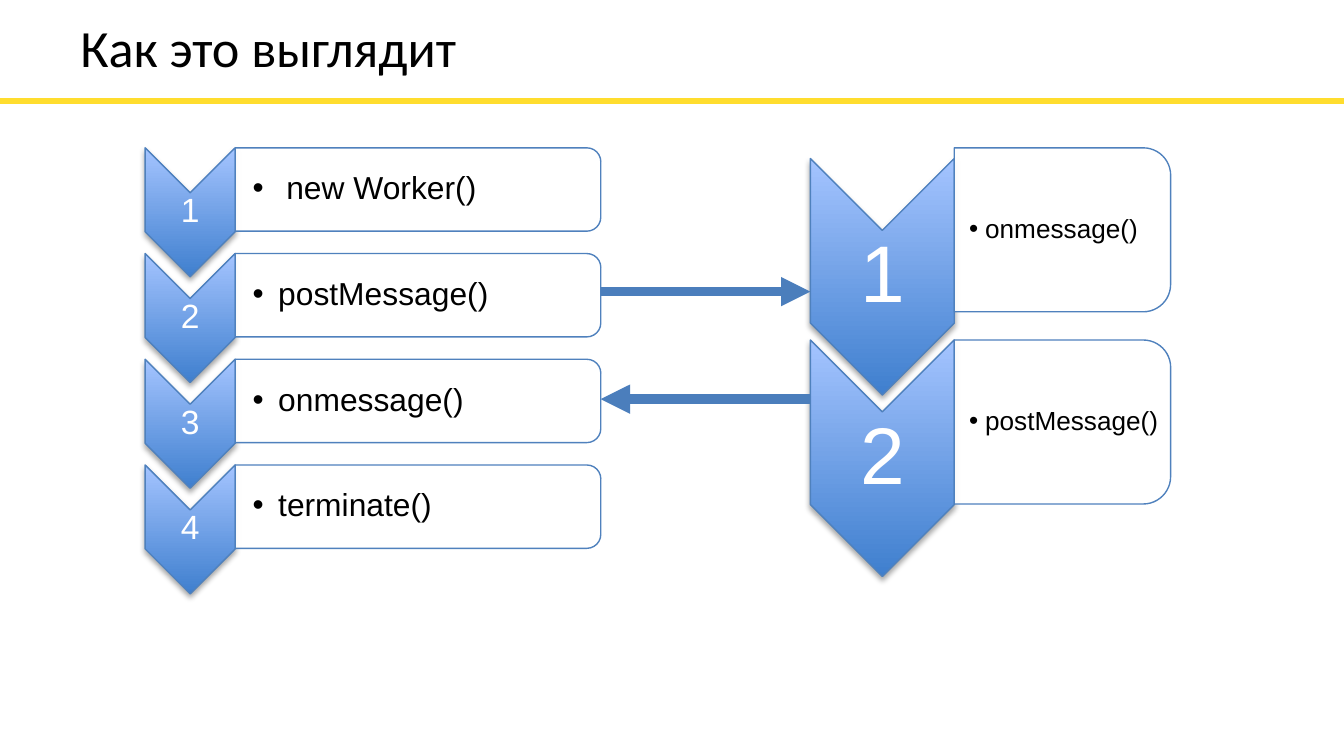
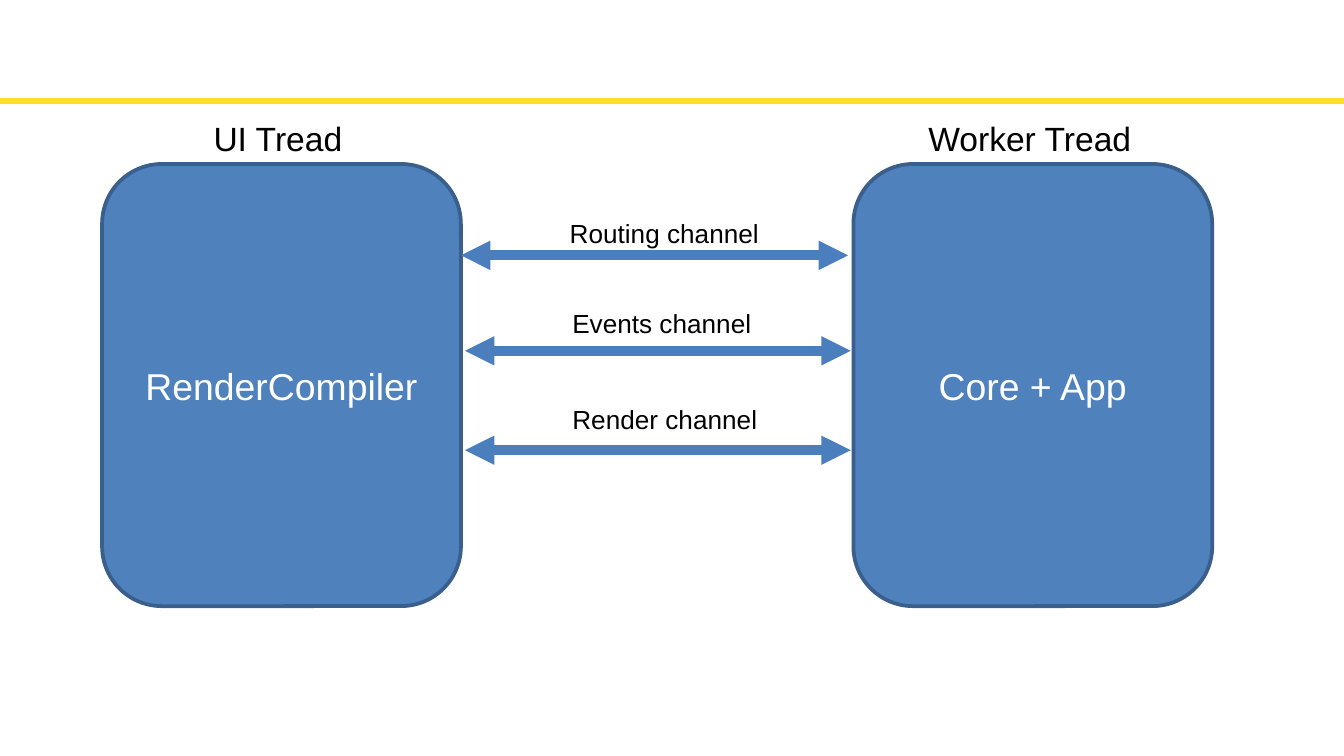
import pptx
import pptx.util
import pptx.dml.color
import pptx.enum.shapes
import pptx.enum.text
import pptx.oxml
import pptx.oxml.ns
from lxml import etree

Inches = pptx.util.Inches
Pt = pptx.util.Pt
RGBColor = pptx.dml.color.RGBColor
Shape = pptx.enum.shapes.MSO_SHAPE
Align = pptx.enum.text.PP_ALIGN
Anchor = pptx.enum.text.MSO_ANCHOR
qn = pptx.oxml.ns.qn

BLACK = RGBColor(0x00, 0x00, 0x00)
WHITE = RGBColor(0xFF, 0xFF, 0xFF)
YELLOW = RGBColor(0xFF, 0xDD, 0x2E)
BLUE = RGBColor(0x4F, 0x81, 0xBD)
DARK_BLUE = RGBColor(0x3A, 0x5F, 0x8C)
ARROW_BLUE = RGBColor(0x4B, 0x7E, 0xBC)
GRADIENT_DARK = RGBColor(0x3F, 0x7F, 0xCE)
GRADIENT_LIGHT = RGBColor(0xA4, 0xC4, 0xFF)

SOFT_SHADOW = (
    '<a:effectLst xmlns:a="http://schemas.openxmlformats.org/drawingml/2006/main">'
    '<a:outerShdw blurRad="39370" dist="22860" dir="5400000" rotWithShape="0">'
    '<a:srgbClr val="000000"><a:alpha val="35000"/></a:srgbClr>'
    '</a:outerShdw></a:effectLst>'
)


def add_line(page, start, end, color, width, ends=()):
    """Draw a straight line; ends names the ends with arrowheads: headEnd, tailEnd."""
    line = page.shapes.add_connector(
        pptx.enum.shapes.MSO_CONNECTOR.STRAIGHT,
        Inches(start[0]), Inches(start[1]), Inches(end[0]), Inches(end[1]))
    line.line.color.rgb = color
    line.line.width = Pt(width)
    properties = line._element.spPr
    for name in ends:
        etree.SubElement(properties.find(qn("a:ln")), qn("a:" + name), type="triangle")
    etree.SubElement(properties, qn("a:effectLst"))


def add_text(page, area, text, size, color=BLACK, font="Arial", wrap=True,
             insets=(0.1, 0.05), anchor=Anchor.MIDDLE):
    """Add a one-paragraph text box and return the paragraph; insets are left and the rest."""
    box = page.shapes.add_textbox(*[Inches(length) for length in area])
    frame = box.text_frame
    frame.word_wrap = wrap
    frame.vertical_anchor = anchor
    frame.margin_left = Inches(insets[0])
    frame.margin_right = frame.margin_top = frame.margin_bottom = Inches(insets[1])
    paragraph = frame.paragraphs[0]
    paragraph.text = text
    paragraph.font.size = Pt(size)
    paragraph.font.name = font
    paragraph.font.color.rgb = color
    return paragraph


deck = pptx.Presentation()
deck.slide_width = Inches(10)
deck.slide_height = deck.slide_width * 9 // 16
blank = deck.slide_layouts[6]
steps_page, channels_page = [deck.slides.add_slide(blank) for _ in range(2)]
for page in (steps_page, channels_page):
    add_line(page, (0, 0.75), (10, 0.75), YELLOW, 3)

# Slide 1: the calls on each side
add_text(steps_page, (0.5, 0.18, 9, 0.34), "Как это выглядит", 28, font="Calibri",
         insets=(0.1, 0.1))

# Each column: chevron left, width, height; card width, height; number and label
# sizes; number box height and offset; inset; steps as (chevron top, card top, indent, label)
labels = ["new Worker()", "postMessage()", "onmessage()", "terminate()"]
pitch = 2.36 / 3
columns = [
    (1.08, 0.67, 0.96, 2.72, 0.62, 18, 17, 0.29, 0.33, 0.13,
     [(1.1 + pitch * i, 1.1 + pitch * i, 0.19 if i else 0.25, label)
      for i, label in enumerate(labels)]),
    (6.03, 1.07, 1.76, 1.61, 1.22, 43, 14, 0.68, 0.54, 0.11,
     [(1.18, 1.1, 0.12, "onmessage()"), (2.53, 2.53, 0.12, "postMessage()")]),
]
for (left, width, height, card_width, card_height, number_size, label_size,
     number_height, number_offset, inset, steps) in columns:
    card_left = left + width
    for number, (top, card_top, indent, label) in enumerate(steps, 1):
        # Both shapes are turned a quarter, so their sides swap around the centre
        turned = []
        for kind, x, y, w, h in (
                (Shape.CHEVRON, left, top, width, height),
                (Shape.ROUND_2_SAME_RECTANGLE, card_left, card_top, card_width, card_height)):
            shape = steps_page.shapes.add_shape(
                kind, Inches(x + (w - h) / 2), Inches(y + (h - w) / 2), Inches(h), Inches(w))
            shape.rotation = 90
            shape.shadow.inherit = False
            shape.line.color.rgb = BLUE
            shape.line.width = Pt(0.75)
            turned.append(shape)
        chevron, card = turned

        chevron.fill.gradient()
        chevron.fill.gradient_angle = 180
        for stop, color in zip(chevron.fill.gradient_stops, (GRADIENT_DARK, GRADIENT_LIGHT)):
            stop.color.rgb = color
        properties = chevron._element.spPr
        properties.replace(properties.find(qn("a:effectLst")), pptx.oxml.parse_xml(SOFT_SHADOW))

        card.fill.solid()
        card.fill.fore_color.rgb = WHITE
        card_color = card._element.spPr.find(qn("a:solidFill")).find(qn("a:srgbClr"))
        etree.SubElement(card_color, qn("a:alpha"), val="90000")

        paragraph = add_text(
            steps_page, (left, top + number_offset, width, number_height),
            str(number), number_size, WHITE, insets=(0.01, 0.01))
        paragraph.alignment = Align.CENTER
        paragraph.line_spacing = 0.9

        paragraph = add_text(
            steps_page, (card_left, card_top + 0.03, card_width - 0.03, card_height - 0.06),
            label, label_size, insets=(inset, 0.01))
        paragraph.line_spacing = 0.9
        bullet = paragraph._p.get_or_add_pPr()
        bullet.set("marL", str(Inches(indent)))
        bullet.set("indent", str(-Inches(indent)))
        etree.SubElement(bullet, qn("a:buFont"), typeface="Arial")
        bullet_char = etree.SubElement(bullet, qn("a:buChar"), char="•")
        # The default run properties come after the bullet in the schema
        bullet_char.addnext(bullet.find(qn("a:defRPr")))

add_line(steps_page, (6.03, 2.97), (4.47, 2.97), ARROW_BLUE, 5.25, ["tailEnd"])
add_line(steps_page, (4.47, 2.17), (6.03, 2.17), ARROW_BLUE, 5.25, ["tailEnd"])

# Slide 2: two threads joined by channels
for left, name, caption, caption_left, caption_width in (
        (0.76, "RenderCompiler", "UI Tread", 1.49, 1.18),
        (6.35, "Core + App", "Worker Tread", 6.81, 1.74)):
    thread = channels_page.shapes.add_shape(
        Shape.ROUNDED_RECTANGLE, Inches(left), Inches(1.22), Inches(2.67), Inches(3.29))
    thread.shadow.inherit = False
    thread.fill.solid()
    thread.fill.fore_color.rgb = BLUE
    thread.line.color.rgb = DARK_BLUE
    thread.line.width = Pt(2)
    thread.text_frame.vertical_anchor = Anchor.MIDDLE
    paragraph = thread.text_frame.paragraphs[0]
    paragraph.text = name
    paragraph.alignment = Align.CENTER
    paragraph.font.size = Pt(20)
    paragraph.font.name = "Arial"
    paragraph.font.color.rgb = WHITE
    add_text(channels_page, (caption_left, 0.83, caption_width, 0.4), caption, 18,
             wrap=False, anchor=Anchor.TOP)

for start, end, y, channel, label_left, label_top, label_width in (
        (3.43, 6.31, 1.9, "Routing channel", 4.14, 1.57, 1.62),
        (3.46, 6.33, 2.61, "Events channel", 4.16, 2.24, 1.54),
        (3.46, 6.33, 3.35, "Render channel", 4.16, 2.95, 1.58)):
    add_line(channels_page, (start, y), (end, y), ARROW_BLUE, 5.25, ["headEnd", "tailEnd"])
    add_text(channels_page, (label_left, label_top, label_width, 0.34), channel, 14,
             wrap=False, anchor=Anchor.TOP)

deck.save("out.pptx")
